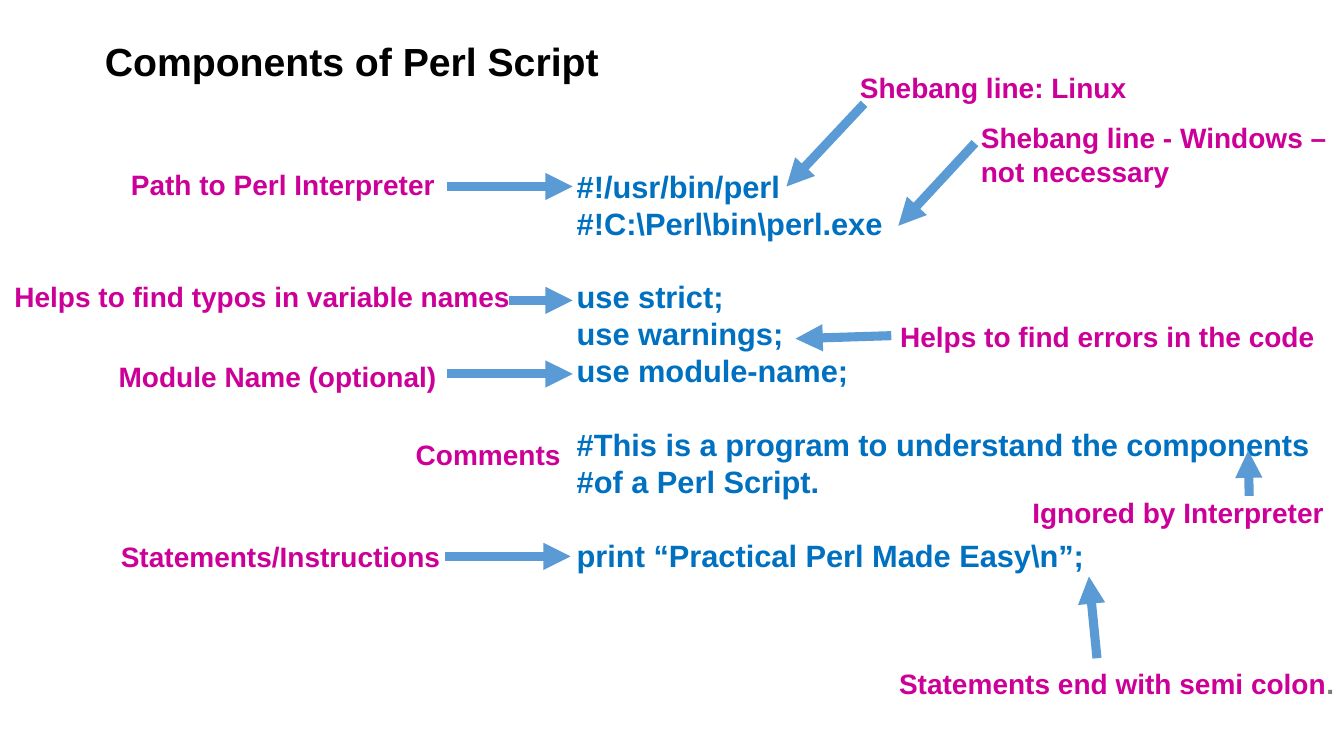
from dataclasses import dataclass

import pptx
import pptx.dml.color
import pptx.enum.shapes
import pptx.enum.text
import pptx.oxml.ns
import pptx.util
from lxml import etree
from pptx.util import Inches

ALIGN = pptx.enum.text.PP_ALIGN


@dataclass(frozen=True)
class Theme:
    font: str = "Arial"
    title_color: str = "000000"
    code_color: str = "0070C0"
    label_color: str = "CC0099"
    stop_color: str = "7C7C7C"
    arrow_color: str = "5B9BD5"
    title_size: int = 28
    code_size: int = 22
    label_size: int = 20
    arrow_width: float = 6.5
    line_pitch: float = 1.2


THEME = Theme()

CODE_BLOCKS = [
    ["#!/usr/bin/perl", "#!C:\\Perl\\bin\\perl.exe"],
    ["use strict;", "use warnings;", "use module-name;"],
    ["#This is a program to understand the components", "#of a Perl Script."],
    ["print “Practical Perl Made Easy\\n”;"],
]

LABELS = [
    ("Path to Perl Interpreter", (1.2, 1.61, 3.23, 0.44), ALIGN.LEFT),
    ("Comments", (2.43, 4.29, 3.23, 0.44), ALIGN.RIGHT),
    ("Statements/Instructions", (1.1, 5.3, 3.43, 0.44), ALIGN.LEFT),
    ("Ignored by Interpreter", (10, 4.87, 3.23, 0.44), ALIGN.RIGHT),
    ("Module Name (optional)", (1.06, 3.52, 3.37, 0.44), ALIGN.RIGHT),
    ("Shebang line: Linux", (8.43, 0.65, 3.52, 0.44), ALIGN.LEFT),
    ("Shebang line - Windows – not necessary", (9.63, 1.15, 3.7, 0.77), ALIGN.LEFT),
    ("Helps to find typos in variable names", (0, 2.72, 5.16, 0.44), ALIGN.RIGHT),
    ("Helps to find errors in the code", (8.63, 3.12, 4.51, 0.44), ALIGN.RIGHT),
]

ARROWS = [
    ((4.43, 1.85), (5.68, 1.85)),
    ((4.43, 3.71), (5.68, 3.71)),
    ((12.39, 4.92), (12.38, 4.47)),
    ((5.05, 2.98), (5.68, 2.98)),
    ((10.88, 6.53), (10.8, 5.72)),
    ((8.57, 1.03), (7.8, 1.85)),
    ((9.67, 1.42), (8.91, 2.24)),
    ((4.41, 5.52), (5.66, 5.52)),
    ((8.84, 3.33), (7.89, 3.36)),
]


def rgb(color):
    return pptx.dml.color.RGBColor.from_string(color)


def place(placeholder, box):
    placeholder.left, placeholder.top, placeholder.width, placeholder.height = map(Inches, box)


def prepare_frame(frame, wrap=True):
    frame.word_wrap = wrap
    frame.auto_size = pptx.enum.text.MSO_AUTO_SIZE.NONE
    frame.vertical_anchor = pptx.enum.text.MSO_ANCHOR.TOP
    frame.margin_left = frame.margin_right = Inches(0.1)
    frame.margin_top = frame.margin_bottom = Inches(0.05)


def format_run(run, size, color):
    run.font.name = THEME.font
    run.font.size = pptx.util.Pt(size)
    run.font.bold = True
    run.font.color.rgb = rgb(color)


def format_paragraph(paragraph, size, color, align=ALIGN.LEFT, gap=0):
    paragraph.alignment = align
    paragraph.line_spacing = pptx.util.Pt(size * THEME.line_pitch)
    paragraph.space_before = pptx.util.Pt(gap)
    paragraph.space_after = pptx.util.Pt(0)
    for run in paragraph.runs:
        format_run(run, size, color)


def remove_bullet(paragraph):
    properties = paragraph._p.get_or_add_pPr()
    properties.set("marL", "0")
    properties.set("indent", "0")
    etree.SubElement(properties, pptx.oxml.ns.qn("a:buNone"))


def fill_title(slide):
    title = slide.shapes.title
    place(title, (0.94, 0.32, 5.16, 0.57))
    prepare_frame(title.text_frame, wrap=False)
    title.text_frame.text = "Components of Perl Script"
    format_paragraph(title.text_frame.paragraphs[0], THEME.title_size, THEME.title_color)


def fill_code(slide):
    code = slide.placeholders[1]
    place(code, (5.62, 1.61, 7.55, 4.17))
    frame = code.text_frame
    prepare_frame(frame)
    frame.text = "\n".join(line for block in CODE_BLOCKS for line in block)
    block_starts = {block[0] for block in CODE_BLOCKS[1:]}
    for paragraph in frame.paragraphs:
        gap = THEME.code_size * THEME.line_pitch if paragraph.text in block_starts else 0
        format_paragraph(paragraph, THEME.code_size, THEME.code_color, gap=gap)
        remove_bullet(paragraph)


def add_label(slide, wording, box, align):
    label = slide.shapes.add_textbox(*map(Inches, box))
    prepare_frame(label.text_frame)
    label.text_frame.text = wording
    paragraph = label.text_frame.paragraphs[0]
    format_paragraph(paragraph, THEME.label_size, THEME.label_color, align)
    return paragraph


def add_semicolon_label(slide):
    rule = add_label(slide, "Statements end with semi colon", (8.75, 6.56, 4.58, 0.44), ALIGN.RIGHT)
    full_stop = rule.add_run()
    full_stop.text = "."
    format_run(full_stop, THEME.label_size, THEME.stop_color)


def add_arrow(slide, start, end):
    arrow = slide.shapes.add_connector(
        pptx.enum.shapes.MSO_CONNECTOR.STRAIGHT, *map(Inches, start + end)
    )
    arrow.line.color.rgb = rgb(THEME.arrow_color)
    arrow.line.width = pptx.util.Pt(THEME.arrow_width)
    outline = arrow.line._get_or_add_ln()
    etree.SubElement(outline, pptx.oxml.ns.qn("a:tailEnd"), type="triangle")
    etree.SubElement(arrow._element.spPr, pptx.oxml.ns.qn("a:effectLst"))


def main():
    presentation = pptx.Presentation()
    presentation.slide_width = Inches(13.33)
    presentation.slide_height = Inches(7.5)
    slide = presentation.slides.add_slide(presentation.slide_layouts[1])
    fill_title(slide)
    fill_code(slide)
    for start, end in ARROWS:
        add_arrow(slide, start, end)
    for wording, box, align in LABELS:
        add_label(slide, wording, box, align)
    add_semicolon_label(slide)
    presentation.save("out.pptx")


if __name__ == "__main__":
    main()
